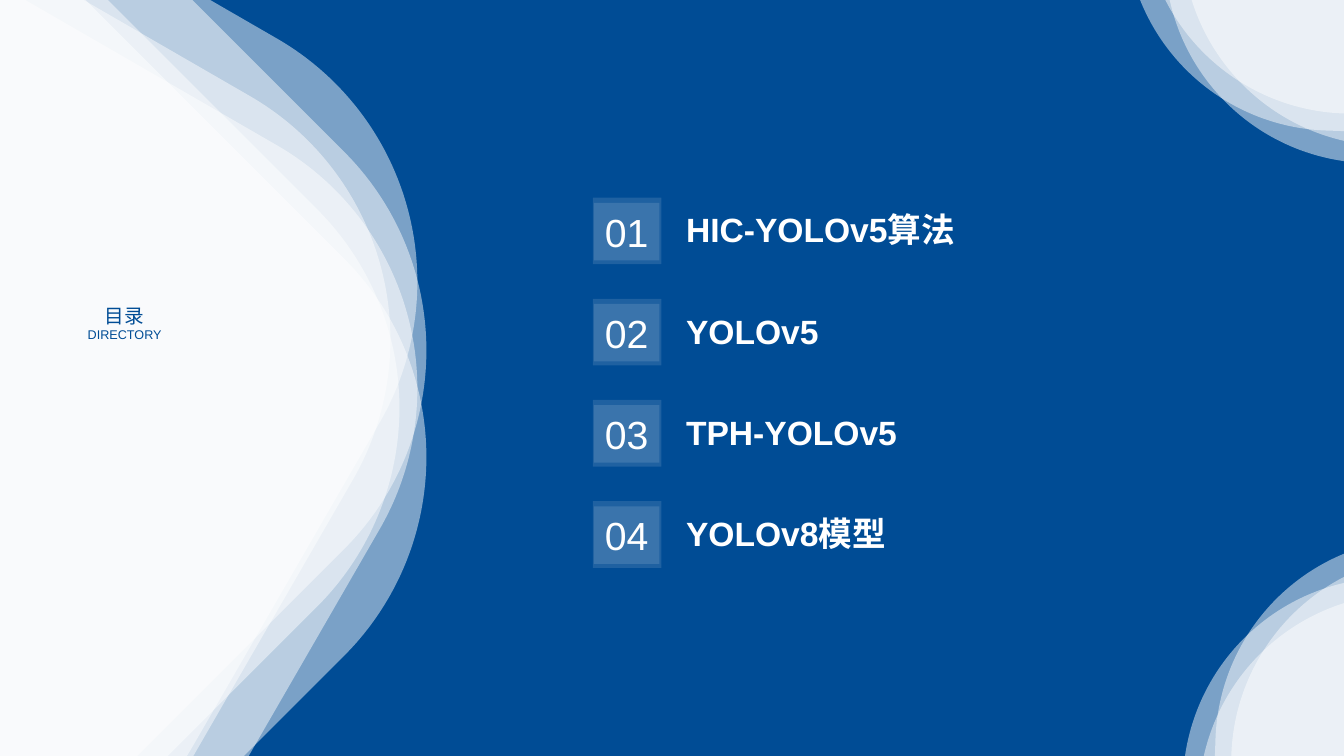
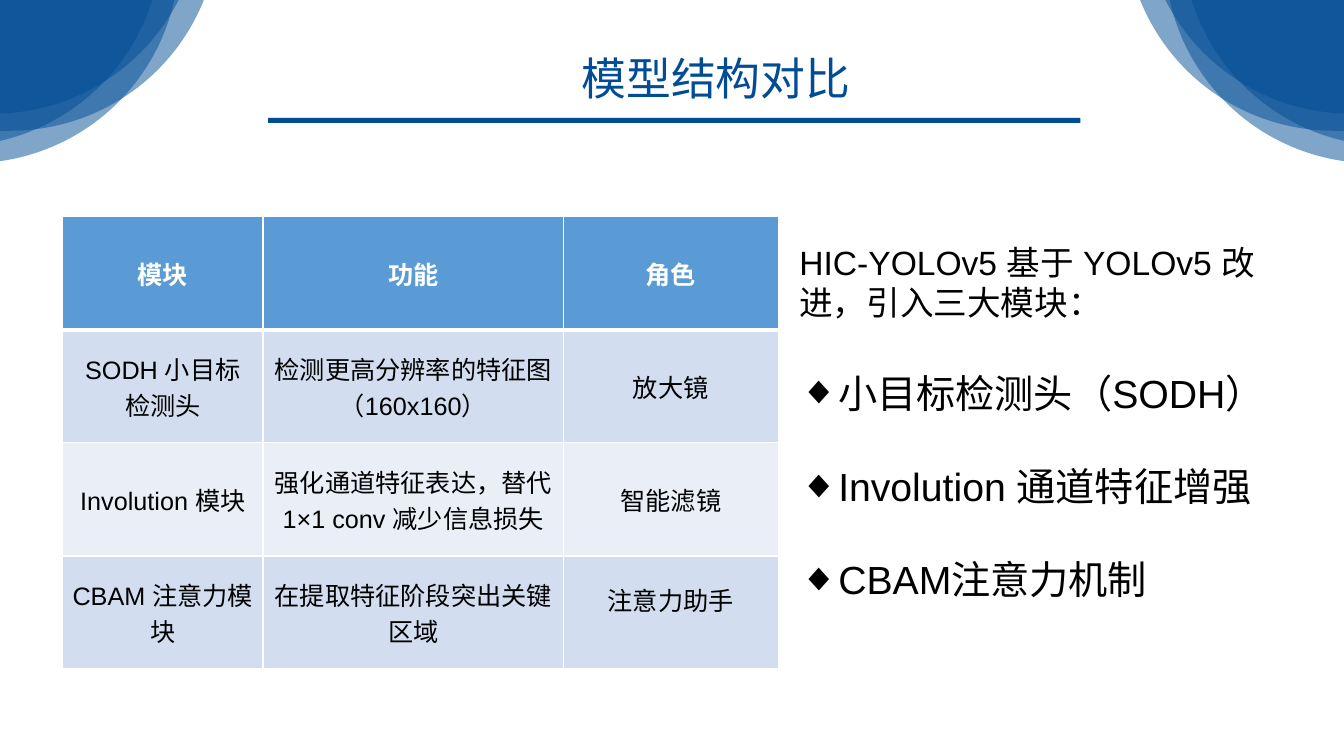
from lxml.etree import SubElement
from pptx import Presentation
from pptx.dml.color import RGBColor
from pptx.enum.shapes import MSO_SHAPE
from pptx.enum.text import MSO_ANCHOR, MSO_AUTO_SIZE, PP_ALIGN
from pptx.oxml.ns import qn
from pptx.util import Cm, Pt

COLORS = {
    "blue": "004C95",
    "white": "FFFFFF",
    "black": "000000",
    "header": "5B9BD5",
    "band_dark": "D2DEEF",
    "band_light": "EAEFF7",
}
FONT = "Arial"
SLIDE_W, SLIDE_H = 33.87, 19.05

LEFT_WAVES = [(-14.81, -2.97), (-15.49, -1.52), (-14.81, -0.28)]
TOP_RIGHT_WAVES = [(28.47, -14.07), (28.91, -14.5)]
BOTTOM_RIGHT_WAVES = [(30.51, 13.67), (30.91, 14.07)]
LEFT_SIZE, CORNER_SIZE = 23.6, 17.48
LEFT_TURNS, TOP_TURNS, BOTTOM_TURNS = (30, 45), (346.9, 1.9), (76.9, 91.9)

TOPICS = ["HIC-YOLOv5算法", "YOLOv5", "TPH-YOLOv5", "YOLOv8模型"]
MODULE_ROWS = [
    ("模块", "功能", "角色"),
    ("SODH 小目标检测头", "检测更高分辨率的特征图（160x160）", "放大镜"),
    ("Involution 模块", "强化通道特征表达，替代 1×1 conv 减少信息损失", "智能滤镜"),
    ("CBAM 注意力模块", "在提取特征阶段突出关键区域", "注意力助手"),
]
STANDARD_MARGIN_CELLS = {(1, 0), (3, 2)}
INTRO = "HIC-YOLOv5 基于 YOLOv5 改进，引入三大模块："
IMPROVEMENTS = ["小目标检测头（SODH）", "Involution 通道特征增强", "CBAM注意力机制"]


def rgb(name):
    """Return the palette colour of that name."""
    return RGBColor.from_string(COLORS[name])


def style(paragraph, size, color, bold=False, align=PP_ALIGN.LEFT, east_asian=True):
    """Format a whole paragraph."""
    paragraph.alignment = align
    font = paragraph.font
    font.size, font.bold, font.name = Pt(size), bold, FONT
    font.color.rgb = rgb(color)
    if east_asian:
        SubElement(font._element, qn("a:ea"), typeface=FONT)


def place(shape, left, top, width, height):
    """Move a shape to a box given in centimetres."""
    shape.left, shape.top = Cm(left), Cm(top)
    shape.width, shape.height = Cm(width), Cm(height)


def add_panel(slide, kind, box, color, opacity=100):
    """Add a borderless shape with a plain or translucent fill."""
    panel = slide.shapes.add_shape(kind, *map(Cm, box))
    panel.shadow.inherit = False
    panel.line.fill.background()
    panel.fill.solid()
    panel.fill.fore_color.rgb = rgb(color)
    if opacity < 100:
        solid = panel._element.spPr.find(qn("a:solidFill"))
        SubElement(solid[0], qn("a:alpha"), val=str(opacity * 1000))
    return panel


def add_waves(slide, origins, size, turns, color, opacity, mirrored=False):
    """Layer turned rounded squares, optionally mirrored across the slide."""
    for left, top in origins:
        if mirrored:
            left = SLIDE_W - left - size
        for turn in turns:
            box = (left, top, size, size)
            wave = add_panel(slide, MSO_SHAPE.ROUNDED_RECTANGLE, box, color, opacity)
            wave.adjustments[0] = 0.3
            wave.rotation = (360 - turn) % 360 if mirrored else turn


def set_title(slide, lines, box, align):
    """Fill the title placeholder with (text, size) lines and bring it forward."""
    title = slide.shapes.title
    place(title, *box)
    frame = title.text_frame
    frame.text = "\n".join(text for text, size in lines)
    frame.word_wrap = False
    frame.auto_size = MSO_AUTO_SIZE.NONE
    frame.vertical_anchor = MSO_ANCHOR.TOP
    for paragraph, (text, size) in zip(frame.paragraphs, lines):
        style(paragraph, size, "blue", align=align)
    slide.shapes._spTree.append(title._element)


def add_topic(slide, left, top, number, topic):
    """Add one numbered agenda entry."""
    add_panel(slide, MSO_SHAPE.RECTANGLE, (left, top, 1.73, 1.68), "white", 12)
    inner = (left + 0.03, top + 0.13, 1.65, 1.45)
    badge = add_panel(slide, MSO_SHAPE.RECTANGLE, inner, "white", 12)
    badge.text_frame.text = f"{number:02d}"
    badge.text_frame.word_wrap = False
    badge.text_frame.vertical_anchor = MSO_ANCHOR.MIDDLE
    style(badge.text_frame.paragraphs[0], 28, "white", align=PP_ALIGN.CENTER)

    label = slide.shapes.add_textbox(Cm(left + 2.1), Cm(top + 0.17), Cm(13.97), Cm(1.27))
    label.text_frame.word_wrap = True
    label.text_frame.text = topic
    style(label.text_frame.paragraphs[0], 24, "white", bold=True)


def set_borders(cell, bottom):
    """Give a cell white borders, with its own bottom width in points."""
    properties = cell._tc.get_or_add_tcPr()
    for index, (side, width) in enumerate([("L", 1), ("R", 1), ("T", 1), ("B", bottom)]):
        line = properties.makeelement(qn(f"a:ln{side}"), {"w": str(Pt(width))})
        solid = SubElement(line, qn("a:solidFill"))
        SubElement(solid, qn("a:srgbClr"), val=COLORS["white"])
        properties.insert(index, line)


def add_module_table(slide, left, top, width, height):
    """Add the table that compares the modules."""
    frame = slide.shapes.add_table(
        len(MODULE_ROWS), 3, Cm(left), Cm(top), Cm(width), Cm(height))
    table = frame.table
    for column, share in zip(table.columns, (0.28, 0.42, 0.3)):
        column.width = Cm(width * share)
    for row, texts in enumerate(MODULE_ROWS):
        heading = row == 0
        fill = "header" if heading else ("band_dark" if row % 2 else "band_light")
        for col, text in enumerate(texts):
            cell = table.cell(row, col)
            cell.text = text
            cell.vertical_anchor = MSO_ANCHOR.MIDDLE
            if not heading and (row, col) not in STANDARD_MARGIN_CELLS:
                cell.margin_left = cell.margin_right = 0
                cell.margin_top = cell.margin_bottom = 0
            cell.fill.solid()
            cell.fill.fore_color.rgb = rgb(fill)
            set_borders(cell, 3 if heading else 1)
            style(cell.text_frame.paragraphs[0], 18, "white" if heading else "black",
                  heading, PP_ALIGN.CENTER, east_asian=False)
    table.cell(3, 2).margin_bottom = Cm(0.79)


def set_bullet(paragraph, char=None):
    """Give a paragraph a hanging bullet, or none at all."""
    properties = paragraph._p.get_or_add_pPr()
    indent = Cm(0.79) if char else 0
    properties.set("marL", str(indent))
    properties.set("indent", str(-indent))
    if char:
        SubElement(properties, qn("a:buFont"), typeface=FONT)
        SubElement(properties, qn("a:buChar"), char=char)
    else:
        SubElement(properties, qn("a:buNone"))


def set_improvements(slide, box):
    """Fill the body placeholder with the introduction and its bullets."""
    body = slide.placeholders[1]
    place(body, *box)
    frame = body.text_frame
    frame.text = "\n".join([INTRO, *IMPROVEMENTS])
    frame.auto_size = MSO_AUTO_SIZE.NONE
    for index, paragraph in enumerate(frame.paragraphs):
        set_bullet(paragraph, "◆" if index else None)
        paragraph.space_before = Pt(33 if index else 0)
        style(paragraph, 28 if index else 24, "black")


def build_directory(prs):
    """Build the agenda slide."""
    slide = prs.slides.add_slide(prs.slide_layouts[5])
    slide.background.fill.solid()
    slide.background.fill.fore_color.rgb = rgb("blue")
    add_waves(slide, LEFT_WAVES, LEFT_SIZE, LEFT_TURNS, "white", 48)
    add_waves(slide, BOTTOM_RIGHT_WAVES, CORNER_SIZE, BOTTOM_TURNS, "white", 48)
    add_waves(slide, TOP_RIGHT_WAVES, CORNER_SIZE, TOP_TURNS, "white", 48)
    set_title(slide, [("目录", 14), ("DIRECTORY", 9)],
              (0.69, 7.52, 4.9, 2.44), PP_ALIGN.CENTER)
    for index, topic in enumerate(TOPICS):
        add_topic(slide, 14.94, 4.98 + index * 2.55, index + 1, topic)


def build_comparison(prs):
    """Build the slide that compares model structures."""
    slide = prs.slides.add_slide(prs.slide_layouts[1])
    add_panel(slide, MSO_SHAPE.RECTANGLE, (6.76, 2.97, 20.47, 0.13), "blue")
    for mirrored in (False, True):
        add_waves(slide, TOP_RIGHT_WAVES, CORNER_SIZE, TOP_TURNS, "blue", 50, mirrored)
    set_title(slide, [("模型结构对比", 32)], (14.4, 1.14, 7.29, 1.63), PP_ALIGN.LEFT)
    set_improvements(slide, (19.89, 5.97, 12.6, 9.47))
    add_module_table(slide, 1.58, 5.46, 18.03, 11.4)


def main():
    """Build and save the presentation."""
    prs = Presentation()
    prs.slide_width, prs.slide_height = Cm(SLIDE_W), Cm(SLIDE_H)
    build_directory(prs)
    build_comparison(prs)
    prs.save("out.pptx")


if __name__ == "__main__":
    main()
